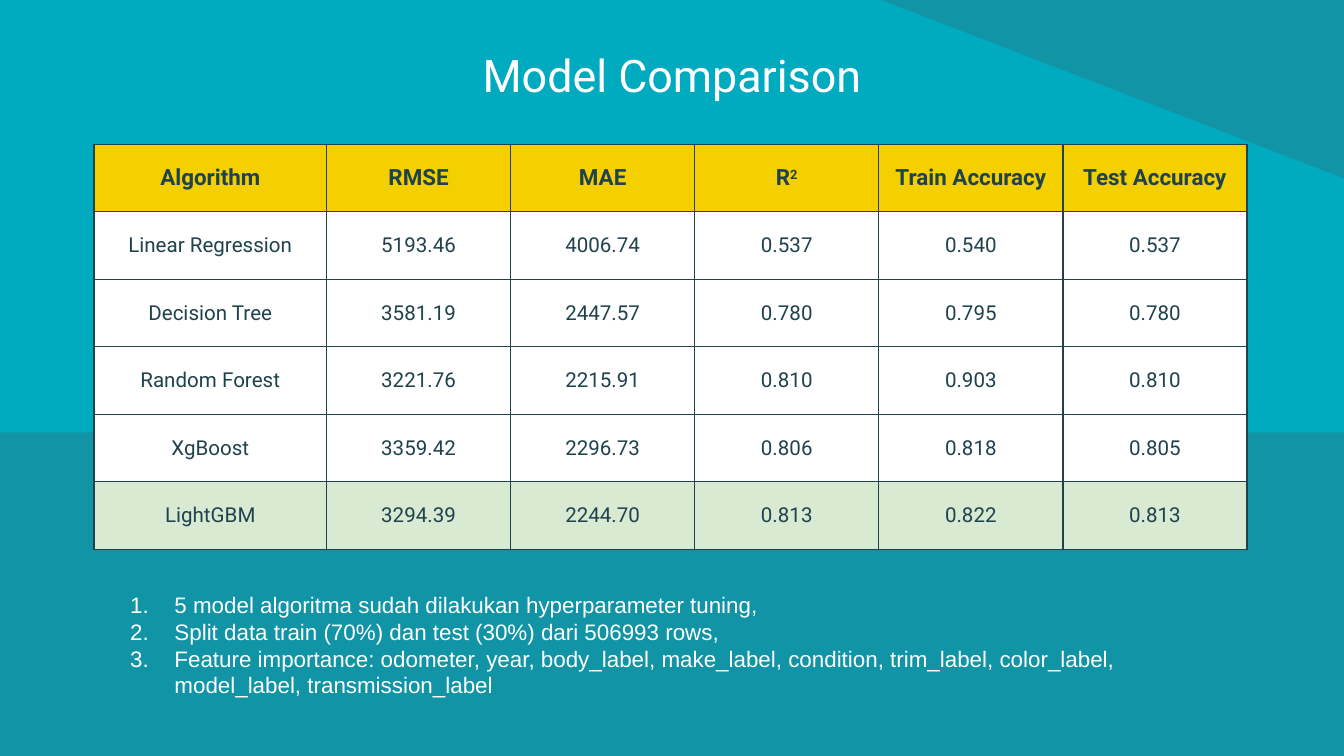
from dataclasses import dataclass

from lxml.etree import SubElement
from pptx import Presentation
from pptx.dml.color import RGBColor
from pptx.enum.shapes import MSO_SHAPE
from pptx.enum.text import MSO_ANCHOR, PP_ALIGN
from pptx.oxml.ns import qn
from pptx.slide import Slide
from pptx.table import _Cell
from pptx.text.text import TextFrame, _Paragraph
from pptx.util import Emu, Inches, Pt

SLIDE_WIDTH, SLIDE_HEIGHT = Inches(10), Inches(5.625)
WHITE, INK, SHADE = "FFFFFF", "1F424C", "336574"
YELLOW, GREEN, TURQUOISE = "F4D000", "D9EAD3", "00ABBF"
COLUMN_SHARES = [0.173] + [0.137] * 5
ROW_SHARE = 0.0893
HEADERS = ["Algorithm", "RMSE", "MAE", "R2", "Train Accuracy", "Test Accuracy"]


@dataclass(frozen=True)
class Area:
    """A rectangle given as shares of the slide's width and height."""

    left: float
    top: float
    width: float
    height: float

    def box(self) -> tuple[Emu, Emu, Emu, Emu]:
        """Return left, top, width and height as lengths."""
        return (
            Emu(int(self.left * SLIDE_WIDTH)),
            Emu(int(self.top * SLIDE_HEIGHT)),
            Emu(int(self.width * SLIDE_WIDTH)),
            Emu(int(self.height * SLIDE_HEIGHT)),
        )


@dataclass(frozen=True)
class Backdrop:
    """A translucent background shape."""

    kind: MSO_SHAPE
    area: Area
    rotation: int = 0


@dataclass(frozen=True)
class ModelResult:
    """The scores of one algorithm."""

    algorithm: str
    scores: tuple[str, ...]
    fill: str = WHITE


BACKDROPS = [
    Backdrop(MSO_SHAPE.RECTANGLE, Area(-0.049, 0.572, 1.073, 0.501)),
    Backdrop(MSO_SHAPE.RIGHT_TRIANGLE, Area(0.656, 0, 0.344, 0.236), 180),
]
RESULTS = [
    ModelResult("Linear Regression", ("5193.46", "4006.74", "0.537", "0.540", "0.537")),
    ModelResult("Decision Tree", ("3581.19", "2447.57", "0.780", "0.795", "0.780")),
    ModelResult("Random Forest", ("3221.76", "2215.91", "0.810", "0.903", "0.810")),
    ModelResult("XgBoost", ("3359.42", "2296.73", "0.806", "0.818", "0.805")),
    ModelResult("LightGBM", ("3294.39", "2244.70", "0.813", "0.822", "0.813"), GREEN),
]
NOTES = [
    "5 model algoritma sudah dilakukan hyperparameter tuning,",
    "Split data train (70%) dan test (30%) dari 506993 rows,",
    "Feature importance: odometer, year, body_label, make_label, condition, "
    "trim_label, color_label, model_label, transmission_label",
]


def color(value: str) -> RGBColor:
    """Turn a hex string into a colour."""
    return RGBColor.from_string(value)


def style(paragraph: _Paragraph, name: str, size: int, ink: str, bold: bool = False) -> None:
    """Set the font of a paragraph."""
    font = paragraph.font
    font.name, font.size, font.bold = name, Pt(size), bold
    font.color.rgb = color(ink)


def add_backdrop(slide: Slide, backdrop: Backdrop) -> None:
    """Draw one translucent background shape."""
    shape = slide.shapes.add_shape(backdrop.kind, *backdrop.area.box())
    shape.shadow.inherit = False
    shape.rotation = backdrop.rotation
    shape.line.fill.background()
    shape.fill.solid()
    shape.fill.fore_color.rgb = color(SHADE)
    shade = shape.fill._xPr.find(f".//{qn('a:srgbClr')}")
    SubElement(shade, qn("a:alpha"), val="32000")


def add_text_frame(slide: Slide, area: Area) -> TextFrame:
    """Add a wrapping text box with even insets."""
    frame = slide.shapes.add_textbox(*area.box()).text_frame
    frame.word_wrap = True
    frame.margin_left = frame.margin_right = Inches(0.1)
    frame.margin_top = frame.margin_bottom = Inches(0.1)
    return frame


def add_title(slide: Slide, text: str) -> None:
    """Draw the centred slide title."""
    frame = add_text_frame(slide, Area(0.078, 0.043, 0.844, 0.112))
    frame.vertical_anchor = MSO_ANCHOR.MIDDLE
    paragraph = frame.paragraphs[0]
    paragraph.text = text
    paragraph.alignment = PP_ALIGN.CENTER
    style(paragraph, "Roboto", 24, WHITE)


def add_borders(cell: _Cell) -> None:
    """Outline all four sides of a cell."""
    properties = cell._tc.get_or_add_tcPr()
    for side in ("L", "R", "T", "B"):
        line = SubElement(properties, qn(f"a:ln{side}"), w=str(Pt(0.75)))
        SubElement(SubElement(line, qn("a:solidFill")), qn("a:srgbClr"), val=INK)


def fill_cell(cell: _Cell, text: str, fill: str, inset: tuple[float, float], heading: bool) -> None:
    """Write and format one table cell."""
    add_borders(cell)
    cell.fill.solid()
    cell.fill.fore_color.rgb = color(fill)
    cell.vertical_anchor = MSO_ANCHOR.MIDDLE
    cell.margin_left = cell.margin_right = Inches(inset[0])
    cell.margin_top = cell.margin_bottom = Inches(inset[1])
    paragraph = cell.text_frame.paragraphs[0]
    paragraph.alignment = PP_ALIGN.CENTER
    style(paragraph, "Roboto", 12 if heading else 11, INK, heading)
    if text == "R2":
        paragraph.add_run().text = "R"
        exponent = paragraph.add_run()
        exponent.text = "2"
        exponent._r.get_or_add_rPr().set("baseline", "30000")
    else:
        paragraph.add_run().text = text


def add_results_table(slide: Slide) -> None:
    """Draw the comparison table."""
    row_count = len(RESULTS) + 1
    area = Area(0.07, 0.191, sum(COLUMN_SHARES), ROW_SHARE * row_count)
    table = slide.shapes.add_table(row_count, len(HEADERS), *area.box()).table
    table.first_row = table.horz_banding = False
    for column, share in zip(table.columns, COLUMN_SHARES):
        column.width = int(share * SLIDE_WIDTH)
    for index, header in enumerate(HEADERS):
        fill_cell(table.cell(0, index), header, YELLOW, (0.1, 0.1), True)
    for row, result in enumerate(RESULTS, 1):
        for index, text in enumerate((result.algorithm, *result.scores)):
            inset = (0.1, 0.1) if index else (0.07, 0.06)
            fill_cell(table.cell(row, index), text, result.fill, inset, False)


def add_notes_list(slide: Slide) -> None:
    """Draw the numbered remarks below the table."""
    frame = add_text_frame(slide, Area(0.07, 0.764, 0.86, 0.18))
    for index, text in enumerate(NOTES):
        paragraph = frame.add_paragraph() if index else frame.paragraphs[0]
        paragraph.text = text
        properties = paragraph._p.get_or_add_pPr()
        properties.set("marL", str(Inches(0.5)))
        properties.set("indent", str(Inches(-0.33)))
        SubElement(SubElement(properties, qn("a:buClr")), qn("a:srgbClr"), val=WHITE)
        SubElement(properties, qn("a:buFont"), typeface="Arial")
        SubElement(properties, qn("a:buAutoNum"), type="arabicPeriod")
        style(paragraph, "Arial", 12, WHITE)


def main() -> None:
    """Build and save the slide."""
    presentation = Presentation()
    presentation.slide_width, presentation.slide_height = SLIDE_WIDTH, SLIDE_HEIGHT
    slide = presentation.slides.add_slide(presentation.slide_layouts[6])
    slide.background.fill.solid()
    slide.background.fill.fore_color.rgb = color(TURQUOISE)
    for backdrop in BACKDROPS:
        add_backdrop(slide, backdrop)
    add_title(slide, "Model Comparison")
    add_results_table(slide)
    add_notes_list(slide)
    presentation.save("out.pptx")


if __name__ == "__main__":
    main()
